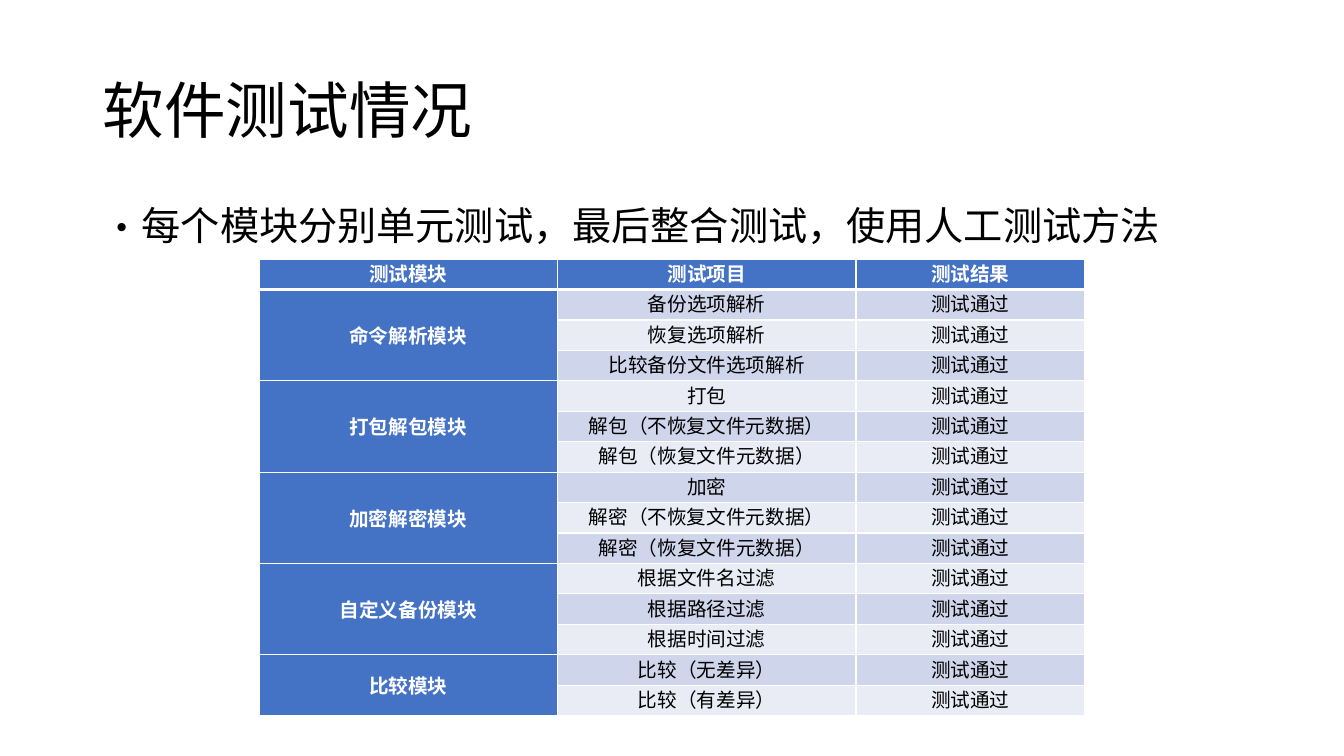
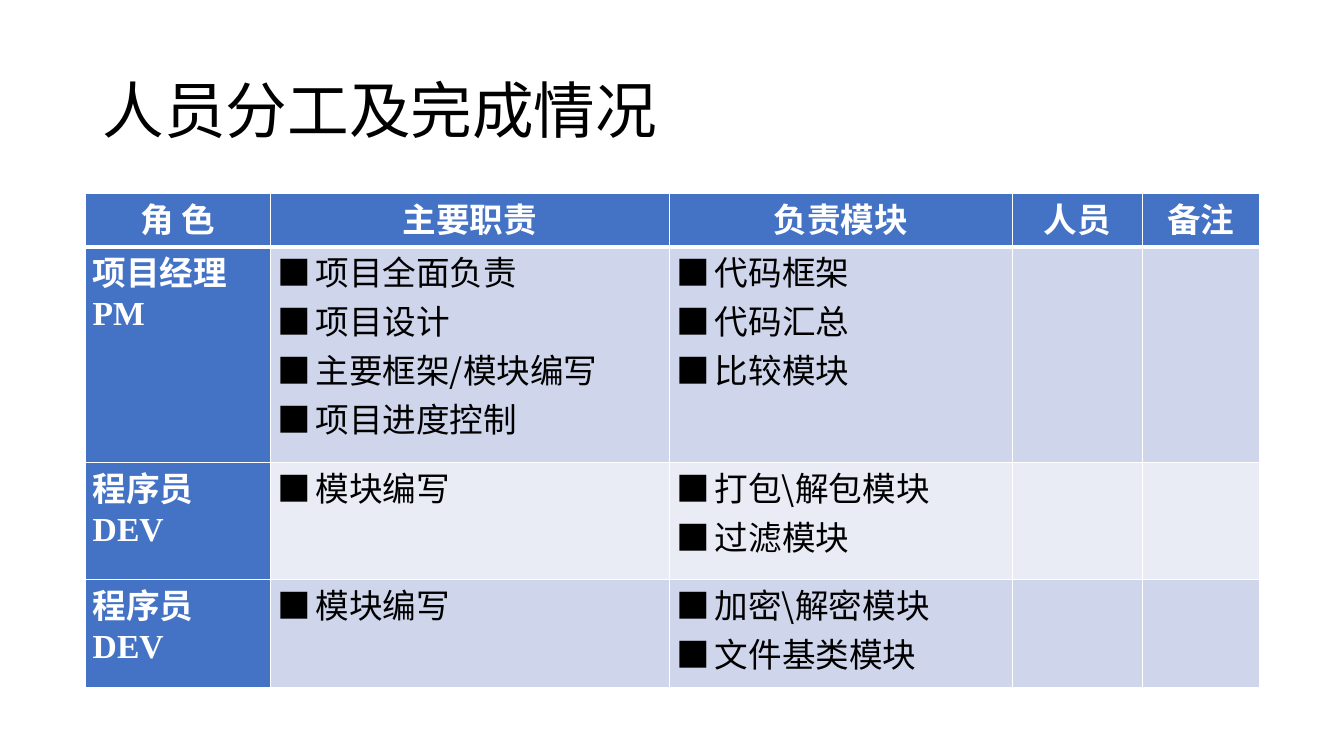
from pptx import Presentation
from pptx.dml.color import RGBColor
from pptx.enum.text import MSO_ANCHOR as Anchor, PP_ALIGN as Align
from pptx.oxml.ns import qn
from pptx.util import Inches, Pt
from lxml.etree import SubElement

COLORS = {"accent": "4472C4", "band_dark": "CFD5EA", "band_light": "E9EBF5",
          "white": "FFFFFF", "black": "000000"}
CJK, LATIN = "Noto Sans CJK SC", "Times New Roman"
MARGIN, CONTENT_WIDTH = 0.92, 11.5

# Content
TEST_TITLE = "软件测试情况"
TEST_METHOD = "每个模块分别单元测试，最后整合测试，使用人工测试方法"
TEST_HEADER = ["测试模块", "测试项目", "测试结果"]
TEST_RESULT = "测试通过"
TEST_MODULES = {
    "命令解析模块": ["备份选项解析", "恢复选项解析", "比较备份文件选项解析"],
    "打包解包模块": ["打包", "解包（不恢复文件元数据）", "解包（恢复文件元数据）"],
    "加密解密模块": ["加密", "解密（不恢复文件元数据）", "解密（恢复文件元数据）"],
    "自定义备份模块": ["根据文件名过滤", "根据路径过滤", "根据时间过滤"],
    "比较模块": ["比较（无差异）", "比较（有差异）"],
}
STAFF_TITLE = "人员分工及完成情况"
STAFF_HEADER = ["角 色", "主要职责", "负责模块", "人员", "备注"]
STAFF = [
    (("项目经理", "PM"),
     ["项目全面负责", "项目设计", "主要框架/模块编写", "项目进度控制"],
     ["代码框架", "代码汇总", "比较模块"]),
    (("程序员", "DEV"), ["模块编写"], ["打包\\解包模块", "过滤模块"]),
    (("程序员", "DEV"), ["模块编写"], ["加密\\解密模块", "文件基类模块"]),
]


def color(name):
    return RGBColor.from_string(COLORS[name])


def style_run(run, size, tone="black", bold=False, latin=CJK):
    run.font.size, run.font.bold, run.font.name = Pt(size), bold, latin
    run.font.color.rgb = color(tone)
    SubElement(run.font._element, qn("a:ea"), typeface=CJK)


def add_bullet(paragraph, char, indent, tab=None):
    props = paragraph._p.get_or_add_pPr()
    props.set("marL", str(Inches(indent)))
    props.set("indent", str(-Inches(indent)))
    SubElement(props, qn("a:buFont"), typeface=CJK)
    SubElement(props, qn("a:buChar"), char=char)
    if tab:
        tabs = SubElement(props, qn("a:tabLst"))
        SubElement(tabs, qn("a:tab"), pos=str(Inches(tab)), algn="l")


def add_text(slide, text, top, height, size, anchor, latin=CJK):
    box = slide.shapes.add_textbox(Inches(MARGIN), Inches(top),
                                   Inches(CONTENT_WIDTH), Inches(height))
    frame = box.text_frame
    frame.word_wrap, frame.vertical_anchor = True, anchor
    frame.text = text
    paragraph = frame.paragraphs[0]
    paragraph.line_spacing = 0.9
    style_run(paragraph.runs[0], size, latin=latin)
    return paragraph


def add_titled_slide(deck, title):
    slide = deck.slides.add_slide(deck.slide_layouts[6])
    add_text(slide, title, 0.4, 1.45, 44, Anchor.MIDDLE)
    return slide


def add_borders(cell, row):
    props = cell._tc.get_or_add_tcPr()
    widths = {"L": 1, "R": 1, "T": 3 if row == 1 else 1, "B": 3 if row == 0 else 1}
    for side, width in widths.items():
        line = SubElement(props, qn(f"a:ln{side}"), w=str(Pt(width)))
        fill = SubElement(line, qn("a:solidFill"))
        SubElement(fill, qn("a:srgbClr"), val=COLORS["white"])


def add_grid(slide, left, top, widths, heights):
    """Table with an accent header row and first column, and banded body rows."""
    grid = slide.shapes.add_table(
        len(heights), len(widths), Inches(left), Inches(top),
        Inches(sum(widths)), Inches(sum(heights))).table
    for column, width in zip(grid.columns, widths):
        column.width = Inches(width)
    for r, height in enumerate(heights):
        grid.rows[r].height = Inches(height)
        for c in range(len(widths)):
            cell = grid.cell(r, c)
            add_borders(cell, r)
            cell.margin_left = cell.margin_right = Inches(0.07)
            cell.margin_top = cell.margin_bottom = 0
            band = "band_dark" if r % 2 else "band_light"
            cell.fill.solid()
            cell.fill.fore_color.rgb = color("accent" if r == 0 or c == 0 else band)
    return grid


def write_centered(cell, text, size, heading, spacing=None):
    cell.text_frame.text = text
    paragraph = cell.text_frame.paragraphs[0]
    paragraph.alignment = Align.CENTER
    if spacing:
        paragraph.line_spacing = Pt(spacing)
    style_run(paragraph.runs[0], size, "white" if heading else "black", heading)


def write_bullets(cell, items):
    cell.text_frame.text = "\n".join(items)
    for paragraph in cell.text_frame.paragraphs:
        paragraph.alignment = Align.JUSTIFY
        add_bullet(paragraph, "■", 0.38, 0.29)
        style_run(paragraph.runs[0], 24)


def write_role(cell, role):
    paragraph = cell.text_frame.paragraphs[0]
    for part, latin in zip(role, (CJK, LATIN)):
        run = paragraph.add_run()
        run.text = part
        style_run(run, 24, "white", True, latin)


def build_test_slide(deck):
    slide = add_titled_slide(deck, TEST_TITLE)
    method = add_text(slide, TEST_METHOD, 2, 4.76, 28, Anchor.TOP, LATIN)
    add_bullet(method, "•", 0.25)

    row_count = 1 + sum(len(items) for items in TEST_MODULES.values())
    grid = add_grid(slide, 2.57, 2.57, [2.96, 2.96, 2.27],
                    [4.53 / row_count] * row_count)
    for c, heading in enumerate(TEST_HEADER):
        write_centered(grid.cell(0, c), heading, 14, True, 20)
    row = 1
    for module, items in TEST_MODULES.items():
        module_cell = grid.cell(row, 0)
        module_cell.merge(grid.cell(row + len(items) - 1, 0))
        module_cell.vertical_anchor = Anchor.MIDDLE
        write_centered(module_cell, module, 14, True, 20)
        for item in items:
            write_centered(grid.cell(row, 1), item, 14, False, 20)
            write_centered(grid.cell(row, 2), TEST_RESULT, 14, False, 20)
            row += 1


def build_staff_slide(deck):
    slide = add_titled_slide(deck, STAFF_TITLE)
    grid = add_grid(slide, 0.85, 1.92, [1.83, 3.96, 3.4, 1.29, 1.16],
                    [0.53, 2.14, 1.16, 1.07])
    for c, heading in enumerate(STAFF_HEADER):
        write_centered(grid.cell(0, c), heading, 24, True)
    for r, (role, duties, modules) in enumerate(STAFF, start=1):
        write_role(grid.cell(r, 0), role)
        write_bullets(grid.cell(r, 1), duties)
        write_bullets(grid.cell(r, 2), modules)


def main():
    deck = Presentation()
    deck.slide_width, deck.slide_height = Inches(13.33), Inches(7.5)
    build_test_slide(deck)
    build_staff_slide(deck)
    deck.save("out.pptx")


if __name__ == "__main__":
    main()
